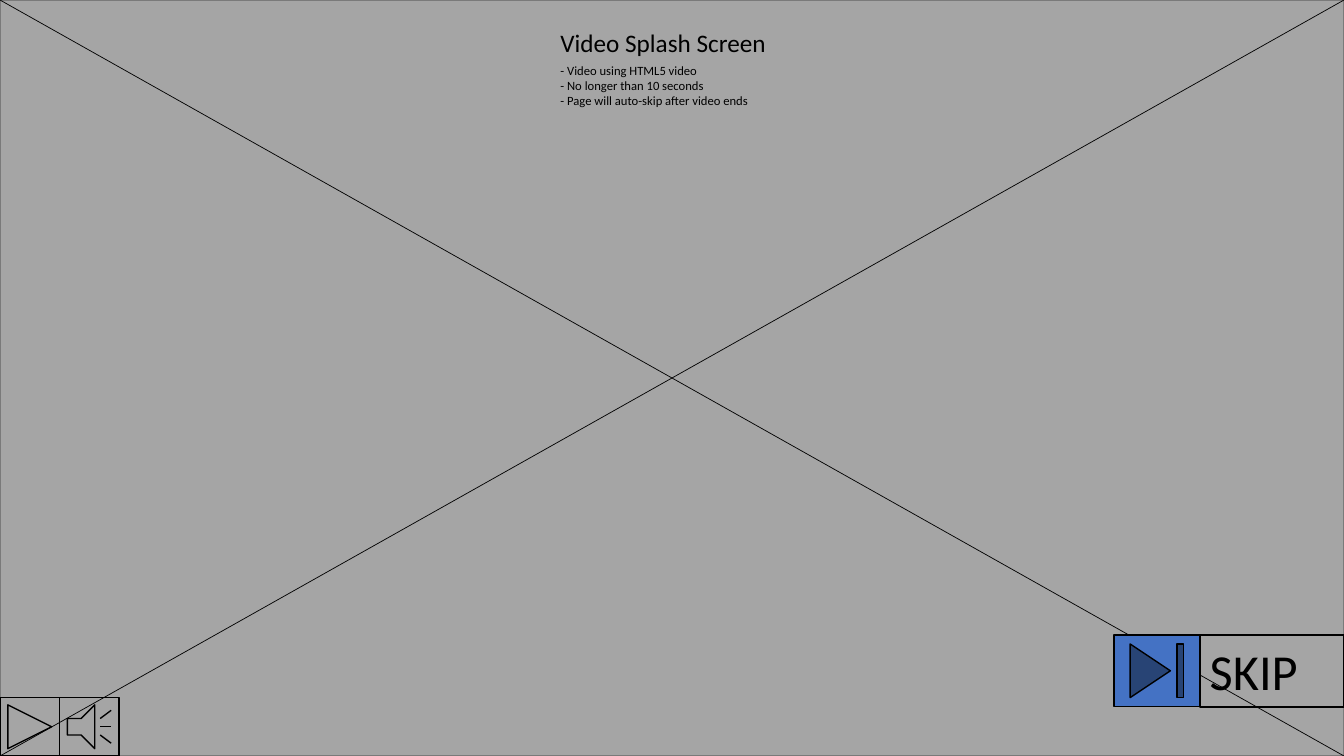
from dataclasses import dataclass

from lxml.etree import SubElement
from pptx import Presentation
from pptx.dml.color import RGBColor
from pptx.enum.shapes import MSO_CONNECTOR, MSO_SHAPE
from pptx.enum.text import MSO_ANCHOR, PP_ALIGN
from pptx.oxml.ns import qn
from pptx.util import Inches, Pt


@dataclass(frozen=True)
class Theme:
    font: str = "Calibri"
    ink: RGBColor = RGBColor(0x00, 0x00, 0x00)
    video: RGBColor = RGBColor(0xA5, 0xA5, 0xA5)
    video_edge: RGBColor = RGBColor(0x7A, 0x7A, 0x7A)
    accent: RGBColor = RGBColor(0x44, 0x72, 0xC4)
    skip_size: int = 36
    title_size: int = 18
    note_size: int = 9


theme = Theme()
slide_width, slide_height = 13.33, 7.5
presentation = Presentation()
presentation.slide_width = Inches(slide_width)
presentation.slide_height = Inches(slide_height)
slide = presentation.slides.add_slide(presentation.slide_layouts[6])


def add_box(kind, left, top, width, height, fill=None, line=theme.ink, weight=1):
    shape = slide.shapes.add_shape(
        kind, Inches(left), Inches(top), Inches(width), Inches(height)
    )
    shape.shadow.inherit = False
    if fill is None:
        shape.fill.background()
    else:
        shape.fill.solid()
        shape.fill.fore_color.rgb = fill
    shape.line.color.rgb = line
    shape.line.width = Pt(weight)
    return shape


def write_text(shape, text, size, color=theme.ink):
    frame = shape.text_frame
    frame.word_wrap = True
    frame.vertical_anchor = MSO_ANCHOR.TOP
    frame.text = text
    for paragraph in frame.paragraphs:
        paragraph.alignment = PP_ALIGN.LEFT
        paragraph.font.name = theme.font
        paragraph.font.size = Pt(size)
        paragraph.font.color.rgb = color


add_box(
    MSO_SHAPE.RECTANGLE, 0, 0, slide_width, slide_height,
    fill=theme.video, line=theme.video_edge,
)

for start_x, end_x in ((0, slide_width), (slide_width, 0)):
    diagonal = slide.shapes.add_connector(
        MSO_CONNECTOR.STRAIGHT,
        Inches(start_x), Inches(slide_height), Inches(end_x), Inches(0),
    )
    diagonal.line.color.rgb = theme.ink
    diagonal.line.width = Pt(0.5)
    SubElement(diagonal.element.spPr, qn("a:effectLst"))

control_width, control_height = 0.59, 0.58
controls = (
    MSO_SHAPE.ACTION_BUTTON_FORWARD_OR_NEXT,
    MSO_SHAPE.ACTION_BUTTON_SOUND,
)
for column, control in enumerate(controls):
    add_box(
        control, column * control_width, slide_height - control_height,
        control_width, control_height,
    )

skip_top, skip_height = 6.3, 0.71
skip_left, skip_icon_width = 11.05, 0.85
label_left = skip_left + skip_icon_width
add_box(
    MSO_SHAPE.ACTION_BUTTON_END, skip_left, skip_top, skip_icon_width, skip_height,
    fill=theme.accent,
)
skip_label = add_box(
    MSO_SHAPE.RECTANGLE, label_left, skip_top, slide_width - label_left, skip_height,
    weight=1.5,
)
write_text(skip_label, "SKIP", size=theme.skip_size)

notes = "\n".join((
    "- Video using HTML5 video",
    "- No longer than 10 seconds",
    "- Page will auto-skip after video ends",
))
captions = (
    ("Video Splash Screen", 0.22, 2.41, 0.71, theme.title_size),
    (notes, 0.57, 2.82, 0.56, theme.note_size),
)
for text, top, width, height, size in captions:
    caption = slide.shapes.add_textbox(
        Inches(5.46), Inches(top), Inches(width), Inches(height)
    )
    write_text(caption, text, size=size)

presentation.save("out.pptx")
